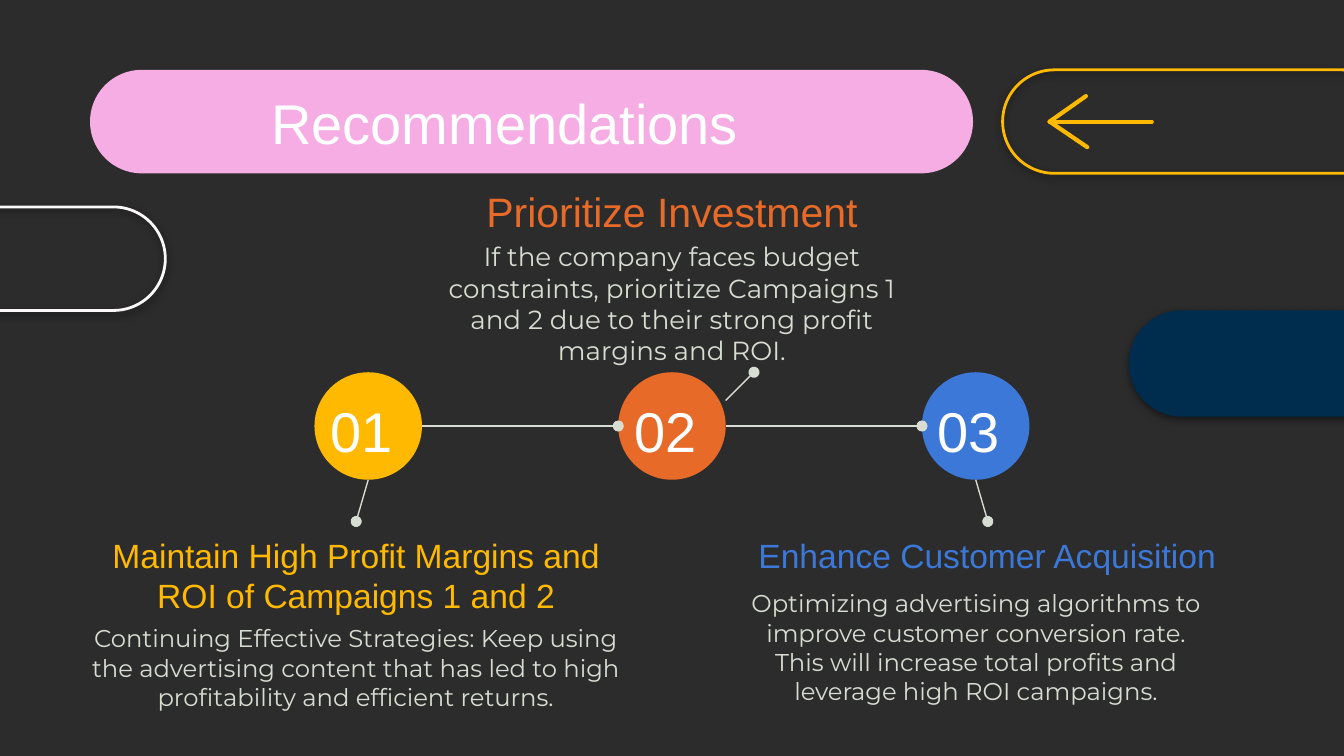
from dataclasses import dataclass

from lxml import etree
from pptx import Presentation
from pptx.dml.color import RGBColor
from pptx.enum.shapes import MSO_CONNECTOR, MSO_SHAPE
from pptx.enum.text import MSO_ANCHOR, PP_ALIGN
from pptx.oxml.ns import qn
from pptx.util import Inches, Pt

PILL = MSO_SHAPE.ROUNDED_RECTANGLE
OVAL = MSO_SHAPE.OVAL
LINE = MSO_CONNECTOR.STRAIGHT
LEFT = PP_ALIGN.LEFT
MID = PP_ALIGN.CENTER
TOP = MSO_ANCHOR.TOP


@dataclass(frozen=True)
class Theme:
    back: str = "2C2C2C"
    pink: str = "F5ADE4"
    gold: str = "FFB900"
    rust: str = "E76A28"
    blue: str = "3C78D8"
    navy: str = "002C4D"
    pale: str = "D7DDD2"
    white: str = "FFFFFF"
    frost: str = "FAF8F8"
    head: str = "Arial"
    body: str = "Montserrat"
    large: int = 30
    lead: int = 22
    sub: int = 18
    note: int = 14
    small: int = 13


T = Theme()


def rgb(color):
    return RGBColor.from_string(color)


def add_text(shapes, text, box, size, color, font=T.head, align=MID):
    frame = shapes.add_textbox(*map(Inches, box)).text_frame
    frame.word_wrap = True
    frame.vertical_anchor = TOP
    frame.margin_left = frame.margin_right = Inches(0.1)
    frame.margin_top = frame.margin_bottom = Inches(0.1)
    para = frame.paragraphs[0]
    para.alignment = align
    run = para.add_run()
    run.text = text
    run.font.size = Pt(size)
    run.font.name = font
    run.font.color.rgb = rgb(color)


def add_shape(shapes, kind, box, fill=None, line=None, shade=False):
    shape = shapes.add_shape(kind, *map(Inches, box))
    shape.shadow.inherit = False
    if kind == PILL:
        shape.adjustments[0] = 0.5
    if fill:
        shape.fill.solid()
        shape.fill.fore_color.rgb = rgb(fill)
    else:
        shape.fill.background()
    if line:
        shape.line.color.rgb = rgb(line)
        shape.line.width = Pt(1.5)
    else:
        shape.line.fill.background()
    if shade:
        effects = shape._element.spPr.find(qn("a:effectLst"))
        outer = etree.SubElement(
            effects, qn("a:outerShdw"), blurRad=str(Pt(4.5)),
            dist=str(Pt(1.5)), dir="5400000", algn="bl", rotWithShape="0")
        tint = etree.SubElement(outer, qn("a:srgbClr"), val="000000")
        etree.SubElement(tint, qn("a:alpha"), val="50000")


def add_line(shapes, start, end, color, width, dot=False):
    line = shapes.add_connector(LINE, *map(Inches, (*start, *end)))
    line.line.color.rgb = rgb(color)
    line.line.width = Pt(width)
    pen = line.line._get_or_add_ln()
    if dot:
        etree.SubElement(pen, qn("a:tailEnd"), type="oval")
    else:
        pen.set("cap", "rnd")
    etree.SubElement(line._element.spPr, qn("a:effectLst"))


def add_title(shapes, box, text):
    left, top, wide, high = box
    add_shape(shapes, PILL, box, fill=T.pink)
    add_text(shapes, text, (left + 0.12, top + 0.04, wide - 0.64, high - 0.14),
             T.large, T.white)


def add_chain(shapes, box, colors):
    left, top, wide, size = box
    step = (wide - size) / (len(colors) - 1)
    half = size / 2
    axis = top + half
    base = top + size
    for i, color in enumerate(colors):
        x = left + i * step
        add_shape(shapes, OVAL, (x, top, size, size), fill=color)
        add_text(shapes, f"{i + 1:02}", (x + 0.02, top + 0.08, 0.77, 0.62),
                 T.large, T.white, align=LEFT)
    right = left + wide
    inner = left + step + size
    links = [((left + size + i * step, axis), (left + (i + 1) * step, axis))
             for i in range(len(colors) - 1)]
    links += [((left + half, base), (left + half - 0.09, base + 0.31)),
              ((right - half, base), (right - half + 0.09, base + 0.31)),
              ((inner, top + 0.21), (inner + 0.21, top))]
    for start, end in links:
        add_line(shapes, start, end, T.pale, 0.75, dot=True)


def add_point(shapes, head, body, head_box, body_box, color, sizes):
    add_text(shapes, head, head_box, sizes[0], color)
    add_text(shapes, body, body_box, sizes[1], T.pale, font=T.body)


def add_arrow(shapes, box):
    group = shapes.add_group_shape().shapes
    left, top, _, high = box
    add_shape(group, PILL, box, line=T.gold, shade=True)
    tip = (left + 0.35, top + high / 2)
    for dx, dy in ((0.76, 0), (0.28, 0.19), (0.27, -0.19)):
        add_line(group, tip, (tip[0] + dx, tip[1] + dy), T.gold, 2.25)


def main():
    deck = Presentation()
    deck.slide_width = Inches(10)
    deck.slide_height = Inches(10) * 9 // 16
    slide = deck.slides.add_slide(deck.slide_layouts[6])
    slide.background.fill.solid()
    slide.background.fill.fore_color.rgb = rgb(T.back)
    shapes = slide.shapes

    add_title(shapes, (0.67, 0.52, 6.57, 0.77), "Recommendations")
    points = [
        ("Maintain High Profit Margins and ROI of Campaigns 1 and 2",
         "Continuing Effective Strategies: Keep using the advertising content "
         "that has led to high profitability and efficient returns.",
         (0.7, 3.88, 3.9, 0.58), (0.53, 4.54, 4.23, 0.71),
         T.gold, (T.sub, T.small)),
        ("Prioritize Investment",
         "If the company faces budget constraints, prioritize Campaigns 1 "
         "and 2 due to their strong profit margins and ROI.",
         (3.14, 1.29, 3.72, 0.58), (3.14, 1.69, 3.72, 0.89),
         T.rust, (T.lead, T.note)),
        ("Enhance Customer Acquisition",
         "Optimizing advertising algorithms to improve customer conversion "
         "rate. This will increase total profits and leverage high ROI "
         "campaigns.",
         (5.3, 3.88, 4.09, 0.58), (5.4, 4.28, 3.72, 1.24),
         T.blue, (T.sub, T.small)),
    ]
    for point in points:
        add_point(shapes, *point)
    add_chain(shapes, (2.34, 2.77, 5.32, 0.8), (T.gold, T.rust, T.blue))
    add_shape(shapes, PILL, (-1.68, 1.54, 2.91, 0.77), line=T.frost, shade=True)
    add_arrow(shapes, (7.46, 0.52, 2.91, 0.77))
    add_shape(shapes, PILL, (8.41, 2.32, 3.53, 0.77),
              fill=T.navy, line=T.navy, shade=True)
    deck.save("out.pptx")


if __name__ == "__main__":
    main()
